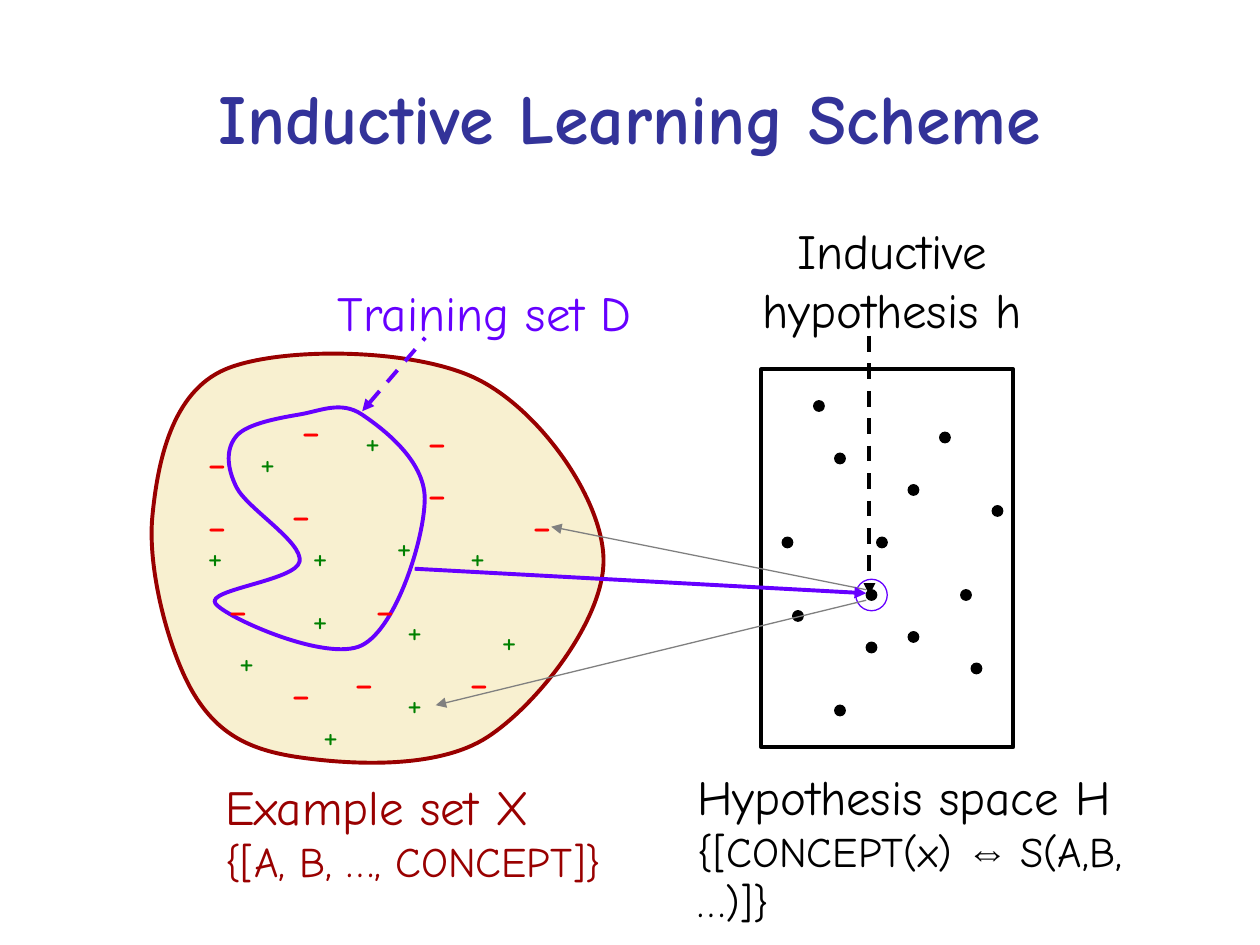
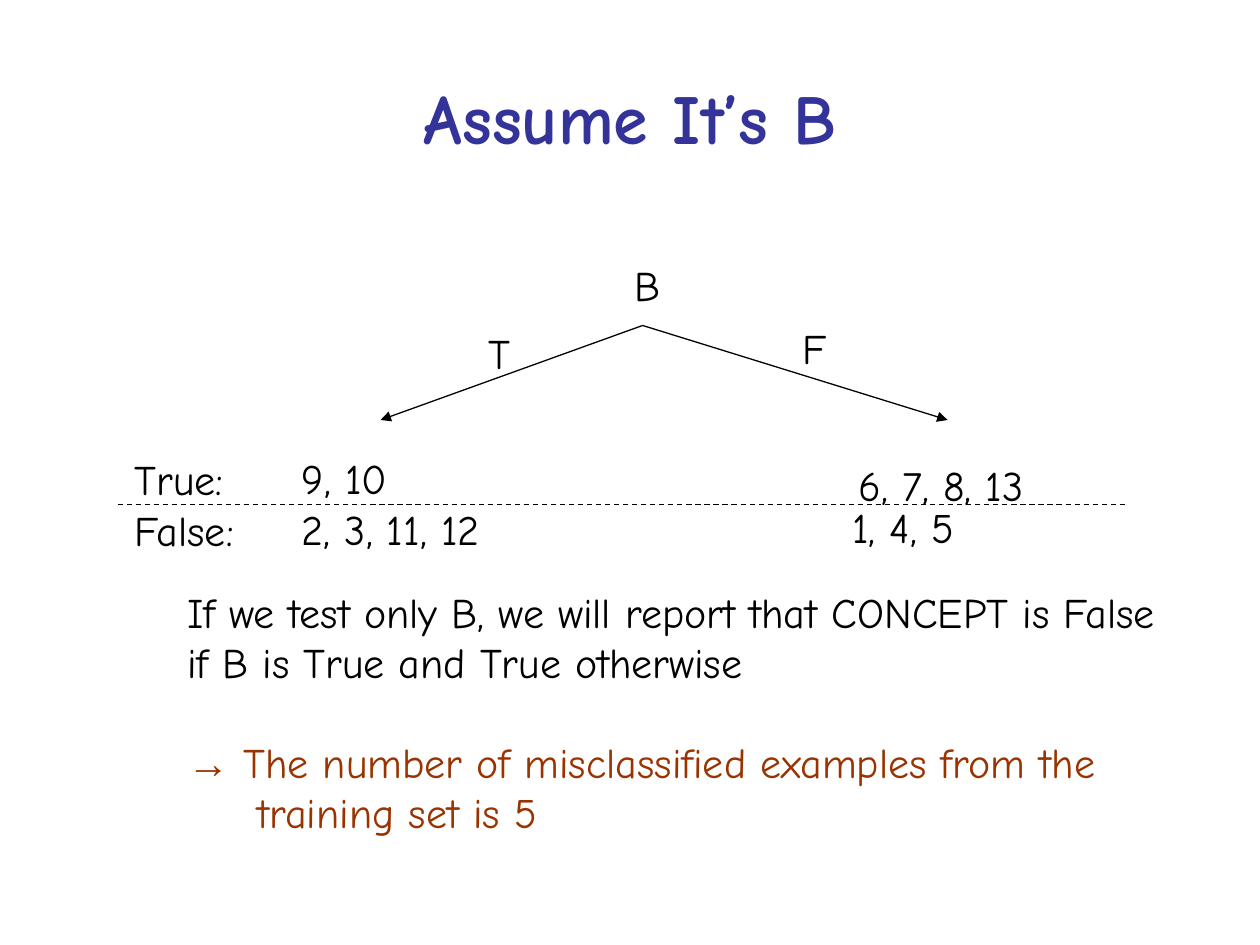
"""Build two slides on inductive learning: the learning scheme and a one-test decision tree."""
from pptx import Presentation
from pptx.dml.color import RGBColor
from pptx.enum.dml import MSO_LINE
from pptx.enum.shapes import MSO_CONNECTOR as CONNECTOR, MSO_SHAPE as SHAPE
from pptx.enum.text import MSO_ANCHOR as ANCHOR, MSO_AUTO_SIZE as AUTO_SIZE, PP_ALIGN as ALIGN
from pptx.oxml.ns import qn
from pptx.util import Pt
from lxml.etree import SubElement

FONT, SYMBOL_FONT = "Comic Neue", "Arial"
BLACK, GREY, NAVY = "000000", "808080", "333399"
MAROON, CREAM, VIOLET = "990000", "F8F0D0", "6600FF"
GREEN, RED, RUST = "008000", "FF0000", "993300"
GRID = 6
rgb = RGBColor.from_string


def write(slide, box, paragraphs, size=24, color=BLACK, bold=False, align=ALIGN.LEFT,
          anchor=ANCHOR.TOP, wrap=False, hanging=0, gap=0):
    """Add a text box; a paragraph is a string or a list of (text, overrides) runs."""
    textbox = slide.shapes.add_textbox(*map(Pt, box))
    frame = textbox.text_frame
    frame.word_wrap = wrap
    frame.auto_size = AUTO_SIZE.NONE if wrap else AUTO_SIZE.SHAPE_TO_FIT_TEXT
    frame.vertical_anchor = anchor
    for number, content in enumerate(paragraphs):
        paragraph = frame.add_paragraph() if number else frame.paragraphs[0]
        paragraph.alignment = align
        if number and gap:
            paragraph.space_before = Pt(gap)
        if number and hanging:
            properties = paragraph._p.get_or_add_pPr()
            properties.set("marL", str(Pt(hanging)))
            properties.set("indent", str(-Pt(hanging)))
        for text, changes in [(content, {})] if isinstance(content, str) else content:
            for row, words in enumerate(text.split("\n")):
                if row:
                    paragraph.add_line_break()
                run = paragraph.add_run()
                run.text = words
                run.font.name = changes.get("font", FONT)
                run.font.size = Pt(changes.get("size", size))
                run.font.bold = changes.get("bold", bold)
                run.font.color.rgb = rgb(changes.get("color", color))


def connect(slide, start, end, color=BLACK, width=0.75, dashed=False, arrow="tailEnd"):
    """Draw a straight line, with an arrowhead at the named end, if any."""
    link = slide.shapes.add_connector(CONNECTOR.STRAIGHT, *map(Pt, start + end))
    link.line.color.rgb = rgb(color)
    link.line.width = Pt(width)
    if dashed:
        link.line.dash_style = MSO_LINE.DASH
    if arrow:
        SubElement(link.line._get_or_add_ln(), qn("a:" + arrow), type="triangle")
    SubElement(link._element.spPr, qn("a:effectLst"))


deck = Presentation()
deck.slide_width, deck.slide_height = Pt(720), Pt(540)
scheme, tree = [deck.slides.add_slide(deck.slide_layouts[6]) for _ in range(2)]
for slide, title in ((scheme, "Inductive Learning Scheme"), (tree, "Assume It’s B")):
    write(slide, (36, 21.6, 648, 90), [title], size=40, color=NAVY, bold=True,
          align=ALIGN.CENTER, anchor=ANCHOR.MIDDLE, wrap=True)

example_knots = [(170.6, 432.7), (110.9, 396.7), (87.1, 295.2), (128.9, 211),
                 (272.9, 216.7), (344.9, 319), (278.6, 421.2)]
training_knots = [(135.2, 278.6), (171.2, 320.9), (123.1, 344.9), (206.8, 368.8),
                  (242.7, 285), (206.8, 236.9), (171.2, 236.9), (135.2, 249.1)]
for knots, outline, fill in ((example_knots, MAROON, CREAM), (training_knots, VIOLET, None)):
    controls = []
    for i in range(len(knots)):
        before, start, end, after = [knots[(i + k) % len(knots)] for k in (-1, 0, 1, 2)]
        controls.append([Pt(b + (c - a) / 6) for a, b, c in zip(before, start, end)])
        controls.append([Pt(c - (d - b) / 6) for b, c, d in zip(start, end, after)])
        controls.append([Pt(c) for c in end])
    builder = scheme.shapes.build_freeform(*map(Pt, knots[0]))
    builder.add_line_segments(controls, close=True)
    region = builder.convert_to_shape()
    steps = list(region._element.iter(qn("a:lnTo")))
    for first, second, third in zip(steps[::3], steps[1::3], steps[2::3]):
        first.tag = qn("a:cubicBezTo")
        for extra in (second, third):
            first.append(extra[0])
            extra.getparent().remove(extra)
    region.shadow.inherit = False
    region.line.color.rgb = rgb(outline)
    region.line.width = Pt(2.25)
    if fill:
        region.fill.solid()
        region.fill.fore_color.rgb = rgb(fill)
    else:
        region.fill.background()

positives = [(10, 11), (19, 18), (10, 17), (0, 11), (11, 28), (15, 0),
             (25, 11), (28, 19), (3, 21), (18, 10), (5, 2), (19, 25)]
negatives = [(25, 24), (2, 17), (0, 3), (8, 25), (0, 9), (16, 17),
             (21, 1), (8, 8), (21, 6), (31, 9), (9, 0), (14, 24)]
for sign, cells, top, width, height, size, color in (
        ("+", positives, 236, 23, 31.5, 20, GREEN),
        ("-", negatives, 224.3, 25, 41, 28, RED)):
    for column, row in cells:
        write(scheme, (111.4 + GRID * column, top + GRID * row, width, height),
              [sign], size=size, color=color)

hypotheses = [(8, 18), (5, 5), (3, 0), (12, 8), (20, 10), (0, 13), (12, 22),
              (1, 20), (9, 13), (17, 18), (8, 23), (15, 3), (18, 25), (5, 29)]
hypothesis_marks = [(SHAPE.RECTANGLE, (435, 211, 144, 216), BLACK, 2.25, False)]
hypothesis_marks += [(SHAPE.OVAL, (447 + GRID * column, 229 + GRID * row, 6, 6), BLACK, 0.75, True)
                     for column, row in hypotheses]
hypothesis_marks.append((SHAPE.OVAL, (489, 331, 18, 18), VIOLET, 0.75, False))
for kind, box, color, width, filled in hypothesis_marks:
    mark = scheme.shapes.add_shape(kind, *map(Pt, box))
    mark.shadow.inherit = False
    mark.line.color.rgb = rgb(color)
    mark.line.width = Pt(width)
    if filled:
        mark.fill.solid()
        mark.fill.fore_color.rgb = rgb(color)
    else:
        mark.fill.background()

write(scheme, (121.7, 440, 232, 70),
      ["Example set X", [("{[A, B, …, CONCEPT]}", {"size": 24})]], size=28, color=MAROON)
write(scheme, (391.5, 434.5, 270, 100),
      ["Hypothesis space H",
       [("{[CONCEPT(x) ", {"size": 24}),
        ("⇔ ", {"size": 24, "font": SYMBOL_FONT, "bold": True}),
        ("S(A,B, …)]}", {"size": 24})]], size=28, wrap=True)
write(scheme, (186, 157.8, 183, 41), ["Training set D"], size=28, color=VIOLET)
write(scheme, (428.7, 122.5, 162, 75), ["Inductive\nhypothesis h"], size=28, align=ALIGN.CENTER)

connect(scheme, (495, 343), (249, 403), color=GREY)
connect(scheme, (495, 337), (315, 301), color=GREY)
connect(scheme, (207, 235), (243, 193), color=VIOLET, width=2.25, dashed=True, arrow="headEnd")
connect(scheme, (237, 325), (495, 339), color=VIOLET, width=2.25)
connect(scheme, (496.8, 192), (496.8, 340), width=2.25, dashed=True)

for leaf in ((217.5, 240), (541.5, 240)):
    connect(tree, (367.2, 186), leaf)
connect(tree, (67.2, 288.2), (643.2, 288.2), dashed=True, arrow=None)
for box, lines in (
        ((355.5, 145, 30, 36), ["B"]),
        ((272, 183.5, 28, 36), ["T"]),
        ((451.5, 181, 29, 36), ["F"]),
        ((70, 255.7, 73, 65), ["True:", "False:"]),
        ((165.5, 255.2, 117, 65), ["9, 10", "2, 3, 11, 12"]),
        ((483.7, 259, 110, 36), ["6, 7, 8, 13"]),
        ((480, 283, 75, 36), ["1, 4, 5"])):
    write(tree, box, lines)
write(tree, (100, 331.3, 571, 151),
      ["If we test only B, we will report that CONCEPT is False\nif B is True and True otherwise",
       [("→", {"font": SYMBOL_FONT, "color": RUST}),
        (" The number of misclassified examples from the\ntraining set is 5", {"color": RUST})]],
      hanging=40, gap=28.3)

deck.save("out.pptx")
